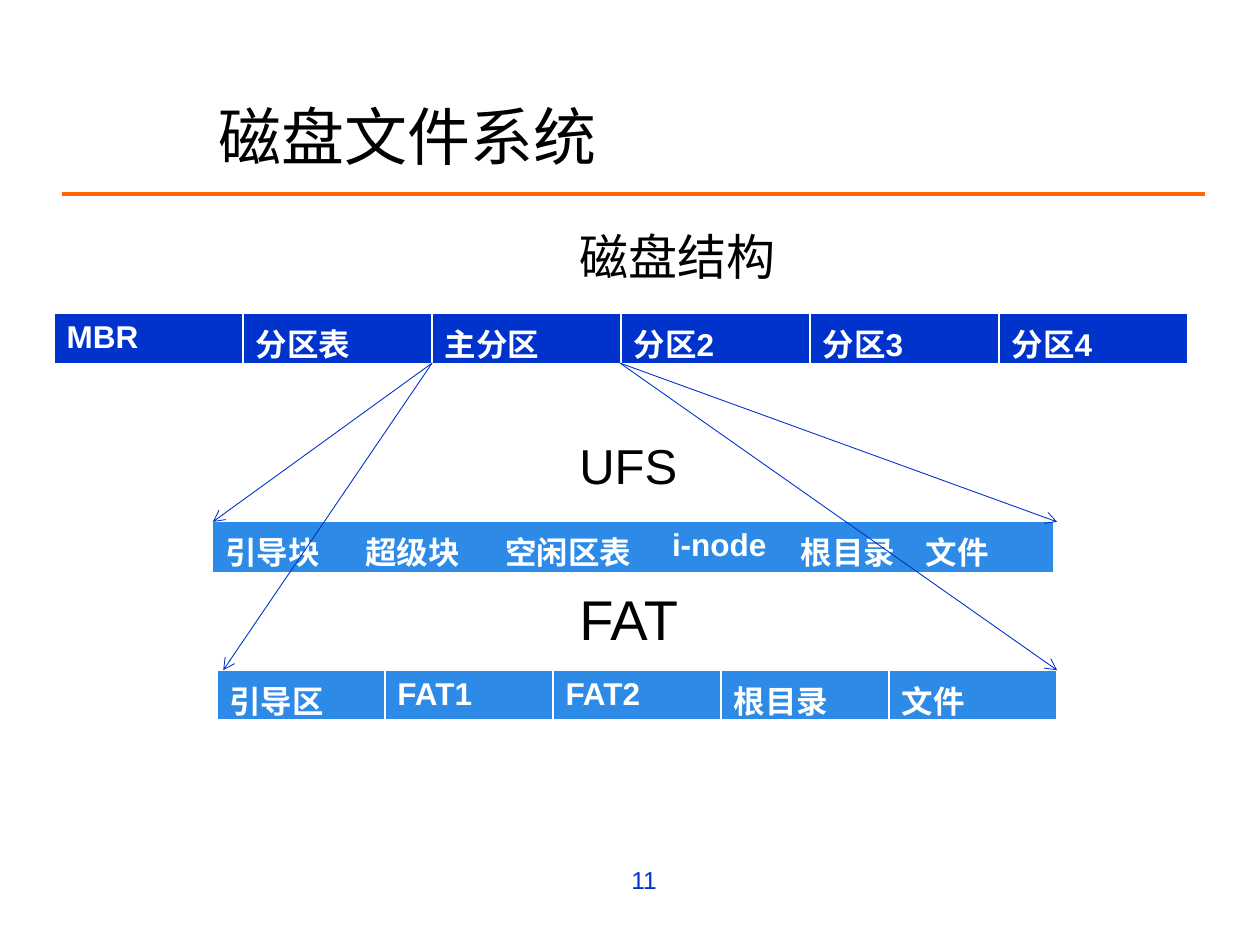
from dataclasses import dataclass

from lxml import etree
from pptx import Presentation
from pptx import util as u
from pptx.dml.color import RGBColor
from pptx.enum import shapes, text
from pptx.oxml.ns import qn


@dataclass(frozen=True)
class Theme:
    font: str = "Arial"
    black: str = "000000"
    white: str = "FFFFFF"
    orange: str = "FF6600"
    navy: str = "0033CC"
    sky: str = "2D8AE7"
    title: int = 36
    heading: int = 28
    large_heading: int = 32
    cell: int = 18
    number: int = 14


@dataclass(frozen=True)
class Box:
    left: float
    top: float
    width: float
    height: float

    def lengths(self):
        return [u.Cm(value) for value in (self.left, self.top, self.width, self.height)]


THEME = Theme()


def style_font(font, size, color, bold=False):
    font.name = THEME.font
    font.size = u.Pt(size)
    font.bold = bold
    font.color.rgb = RGBColor.from_string(color)


def add_text(page, box, words, size, color=THEME.black,
             anchor=text.MSO_ANCHOR.MIDDLE, align=text.PP_ALIGN.LEFT):
    frame = page.shapes.add_textbox(*box.lengths()).text_frame
    frame.word_wrap = True
    frame.vertical_anchor = anchor
    para = frame.paragraphs[0]
    para.text = words
    para.alignment = align
    style_font(para.font, size, color)


def add_line(page, start, end, color, width, arrow=False):
    ends = [u.Cm(value) for value in (*start, *end)]
    line = page.shapes.add_connector(shapes.MSO_CONNECTOR.STRAIGHT, *ends)
    line.line.color.rgb = RGBColor.from_string(color)
    line.line.width = u.Pt(width)
    if arrow:
        etree.SubElement(line.line._get_or_add_ln(), qn("a:tailEnd"), type="arrow")
    etree.SubElement(line._element.spPr, qn("a:effectLst"))


def set_borders(cell, visible):
    properties = cell._tc.get_or_add_tcPr()
    widths = {"a:lnL": 1, "a:lnR": 1, "a:lnT": 1, "a:lnB": 3}
    for position, (side, width) in enumerate(widths.items()):
        border = etree.Element(qn(side), w=str(u.Pt(width)))
        if visible:
            fill = etree.SubElement(border, qn("a:solidFill"))
            etree.SubElement(fill, qn("a:srgbClr"), val=THEME.white)
        else:
            etree.SubElement(border, qn("a:noFill"))
        properties.insert(position, border)


def add_layout_row(page, box, labels, color, shares=None, bordered=True):
    table = page.shapes.add_table(1, len(labels), *box.lengths()).table
    shares = shares or [1] * len(labels)
    for column, share in zip(table.columns, shares):
        column.width = u.Cm(box.width * share / sum(shares))
    for cell, label in zip(table.rows[0].cells, labels):
        cell.text = label
        cell.fill.solid()
        cell.fill.fore_color.rgb = RGBColor.from_string(color)
        style_font(cell.text_frame.paragraphs[0].font, THEME.cell, THEME.white, bold=True)
        set_borders(cell, bordered)


def add_header(page, box):
    add_text(page, Box(box.left + 2.92, box.top, 18.44, 1.63), "磁盘文件系统", THEME.title)
    bottom = box.top + box.height
    add_line(page, (box.left, bottom), (box.left + box.width, bottom), THEME.orange, 2.25)


def add_disk_diagram(page, box):
    headings = [
        (0, "磁盘结构", THEME.heading),
        (4.21, "UFS", THEME.heading),
        (7.3, "FAT", THEME.large_heading),
    ]
    for offset, words, size in headings:
        add_text(page, Box(box.left + 10.34, box.top + offset, 8, 1.5), words, size)

    disk = Box(box.left, box.top + 1.91, box.width, 1.04)
    ufs = Box(box.left + 3.2, box.top + 6.11, 16.94, 1.02)
    fat = Box(box.left + 3.28, box.top + 9.1, 16.94, 1.04)
    add_layout_row(page, disk, ["MBR", "分区表", "主分区", "分区2", "分区3", "分区4"], THEME.navy)
    add_layout_row(page, ufs, ["引导块", "超级块", "空闲区表", "i-node", "根目录", "文件"],
                   THEME.sky, [1.11, 1.11, 1.32, 1.02, 0.99, 1.11], bordered=False)
    add_layout_row(page, fat, ["引导区", "FAT1", "FAT2", "根目录", "文件"], THEME.sky)

    partition_bottom = box.top + 2.91
    right = fat.left + fat.width
    for row, left in ((ufs, ufs.left), (fat, fat.left + 0.13)):
        for start, end in ((box.left + 7.62, left), (box.left + 11.41, right)):
            add_line(page, (start, partition_bottom), (end, row.top), THEME.navy, 0.5, arrow=True)


def add_page_number(page, box):
    add_text(page, box, "11", THEME.number, THEME.navy,
             text.MSO_ANCHOR.TOP, text.PP_ALIGN.RIGHT)


def main():
    deck = Presentation()
    deck.slide_width = u.Cm(25.4)
    deck.slide_height = u.Cm(19.05)
    page = deck.slides.add_slide(deck.slide_layouts[6])
    add_header(page, Box(1.24, 1.91, 23.06, 2))
    add_disk_diagram(page, Box(1.09, 4.41, 22.86, 10.14))
    add_page_number(page, Box(7.11, 17.32, 6.38, 1.32))
    deck.save("out.pptx")


if __name__ == "__main__":
    main()
